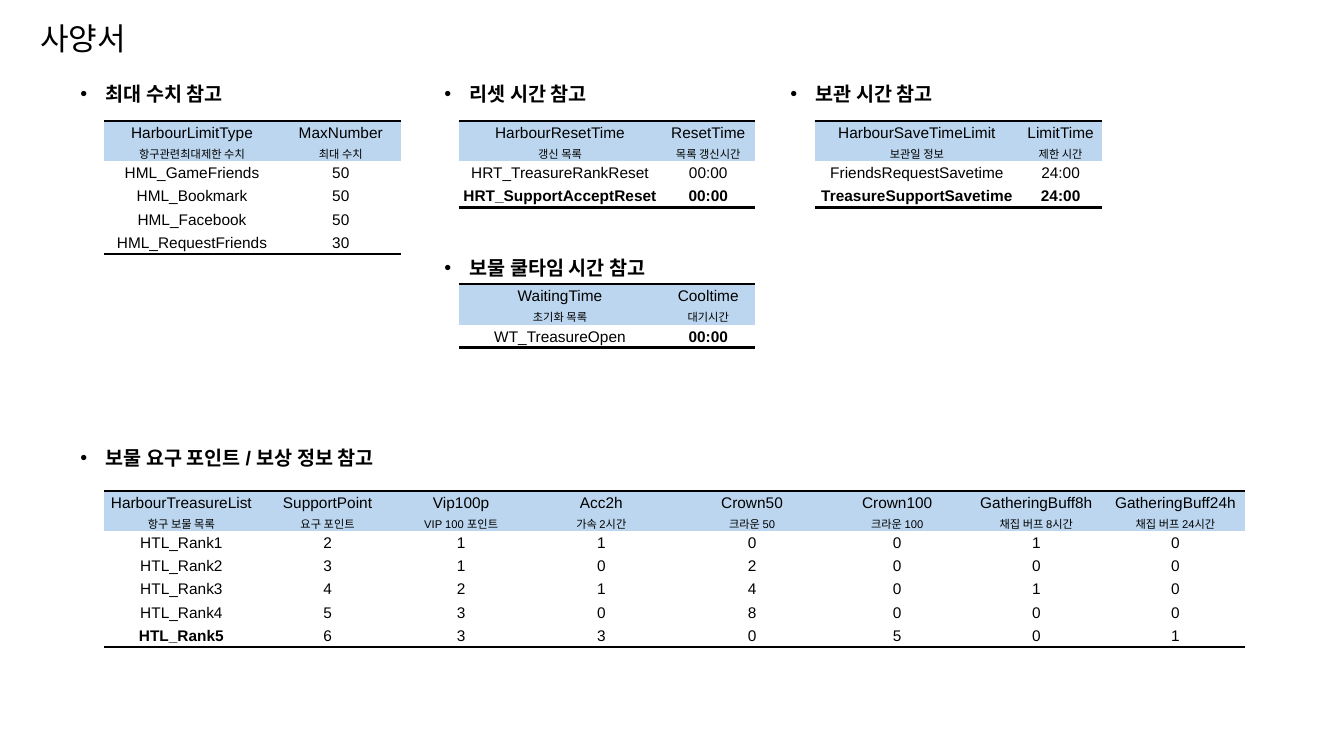
from dataclasses import dataclass

import pptx
import pptx.dml.color
import pptx.enum.text
import pptx.oxml
import pptx.oxml.ns
import pptx.util
from pptx.util import Inches


@dataclass(frozen=True)
class Theme:
    font: str = "Arial"
    ink: str = "000000"
    header: str = "BBD6EE"
    body: str = "FFFFFF"
    title: float = 22.2
    heading: float = 14
    cell: float = 11
    caption: float = 8
    rule: float = 2


THEME = Theme()
NO_STYLE = "{2D5ABB26-0587-4C30-8999-92F81FD0307C}"
CAPTION_ROW = 1

# left, top, column widths, rows, bold cells (row, column)
TABLES = [
    (1.03, 1.2, [1.75, 1.2], [
        ["HarbourLimitType", "MaxNumber"],
        ["항구관련최대제한 수치", "최대 수치"],
        ["HML_GameFriends", "50"],
        ["HML_Bookmark", "50"],
        ["HML_Facebook", "50"],
        ["HML_RequestFriends", "30"],
    ], []),
    (4.55, 1.2, [2.01, 0.93], [
        ["HarbourResetTime", "ResetTime"],
        ["갱신 목록", "목록 갱신시간"],
        ["HRT_TreasureRankReset", "00:00"],
        ["HRT_SupportAcceptReset", "00:00"],
    ], [(3, 0), (3, 1)]),
    (8.08, 1.2, [2.03, 0.82], [
        ["HarbourSaveTimeLimit", "LimitTime"],
        ["보관일 정보", "제한 시간"],
        ["FriendsRequestSavetime", "24:00"],
        ["TreasureSupportSavetime", "24:00"],
    ], [(3, 0), (3, 1)]),
    (4.55, 2.82, [2.01, 0.93], [
        ["WaitingTime", "Cooltime"],
        ["초기화 목록", "대기시간"],
        ["WT_TreasureOpen", "00:00"],
    ], [(2, 1)]),
    (1.03, 4.87, [1.54, 1.36, 1.29, 1.49, 1.5, 1.38, 1.38, 1.38], [
        ["HarbourTreasureList", "SupportPoint", "Vip100p", "Acc2h",
         "Crown50", "Crown100", "GatheringBuff8h", "GatheringBuff24h"],
        ["항구 보물 목록", "요구 포인트", "VIP 100 포인트", "가속 2시간",
         "크라운 50", "크라운 100", "채집 버프 8시간", "채집 버프 24시간"],
        ["HTL_Rank1", "2", "1", "1", "0", "0", "1", "0"],
        ["HTL_Rank2", "3", "1", "0", "2", "0", "0", "0"],
        ["HTL_Rank3", "4", "2", "1", "4", "0", "1", "0"],
        ["HTL_Rank4", "5", "3", "0", "8", "0", "0", "0"],
        ["HTL_Rank5", "6", "3", "3", "0", "5", "0", "1"],
    ], [(6, 0)]),
]

# left, top, width, text
HEADINGS = [
    (0.7, 0.65, 2.33, "최대 수치 참고"),
    (4.31, 0.65, 2.33, "리셋 시간 참고"),
    (7.74, 0.65, 2.33, "보관 시간 참고"),
    (4.31, 2.37, 2.86, "보물 쿨타임 시간 참고"),
    (0.7, 4.26, 5.4, "보물 요구 포인트 / 보상 정보 참고"),
]


def rgb(value):
    return pptx.dml.color.RGBColor.from_string(value)


def xml(text):
    ns = pptx.oxml.ns.nsdecls("a")
    return pptx.oxml.parse_xml(text.replace(" ", f" {ns} ", 1))


def style_run(p, size, bold=False):
    for r in p.runs:
        r.font.name = THEME.font
        r.font.size = pptx.util.Pt(size)
        r.font.bold = bold
        r.font.color.rgb = rgb(THEME.ink)


def add_text(s, left, top, width, height, text, spacing):
    tf = s.shapes.add_textbox(
        Inches(left), Inches(top), Inches(width), Inches(height)).text_frame
    tf.word_wrap = True
    tf.text = text
    p = tf.paragraphs[0]
    p.line_spacing = spacing
    return p


def add_title(s, text):
    p = add_text(s, 0.3, 0, 6.49, 0.64, text, 1.4)
    style_run(p, THEME.title)


def add_heading(s, left, top, width, text):
    p = add_text(s, left, top, width, 0.6, text, 1.5)
    pPr = p._p.get_or_add_pPr()
    pPr.set("marL", str(Inches(0.25)))
    pPr.set("indent", str(Inches(-0.25)))
    pPr.append(xml(f'<a:buClr ><a:srgbClr val="{THEME.ink}"/></a:buClr>'))
    pPr.append(xml('<a:buFont typeface="Arial"/>'))
    pPr.append(xml('<a:buChar char="•"/>'))
    style_run(p, THEME.heading, True)


def add_rule(cell, side):
    """Draw the line on one side of a cell: T or B."""
    width = pptx.util.Pt(THEME.rule)
    cell._tc.get_or_add_tcPr().insert(0, xml(
        f'<a:ln{side} w="{width}"><a:solidFill><a:srgbClr val="{THEME.ink}"/>'
        f'</a:solidFill></a:ln{side}>'))


def fill_cell(cell, text, size, bold, fill):
    cell.margin_left = cell.margin_right = cell.margin_top = Inches(0.01)
    cell.margin_bottom = 0
    cell.vertical_anchor = pptx.enum.text.MSO_ANCHOR.MIDDLE
    cell.fill.solid()
    cell.fill.fore_color.rgb = rgb(fill)
    cell.text_frame.text = text
    p = cell.text_frame.paragraphs[0]
    p.alignment = pptx.enum.text.PP_ALIGN.CENTER
    style_run(p, size, bold)


def add_data_table(s, left, top, widths, rows, bold_cells):
    heights = [0.17 if i == CAPTION_ROW else 0.23 for i in range(len(rows))]
    table = s.shapes.add_table(
        len(rows), len(widths), Inches(left), Inches(top),
        Inches(sum(widths)), Inches(sum(heights))).table
    table.first_row = table.horz_banding = False
    table._tbl.tblPr.find(pptx.oxml.ns.qn("a:tableStyleId")).text = NO_STYLE
    for column, width in zip(table.columns, widths):
        column.width = Inches(width)
    for i, row in enumerate(rows):
        table.rows[i].height = Inches(heights[i])
        size = THEME.caption if i == CAPTION_ROW else THEME.cell
        fill = THEME.header if i <= CAPTION_ROW else THEME.body
        for j, text in enumerate(row):
            cell = table.cell(i, j)
            fill_cell(cell, text, size, (i, j) in bold_cells, fill)
            if i == 0:
                add_rule(cell, "T")
            elif i == len(rows) - 1:
                add_rule(cell, "B")


def main():
    prs = pptx.Presentation()
    prs.slide_width, prs.slide_height = Inches(13.33), Inches(7.5)
    s = prs.slides.add_slide(prs.slide_layouts[6])
    add_title(s, "사양서")
    for table in TABLES:
        add_data_table(s, *table)
    for heading in HEADINGS:
        add_heading(s, *heading)
    prs.save("out.pptx")


if __name__ == "__main__":
    main()
